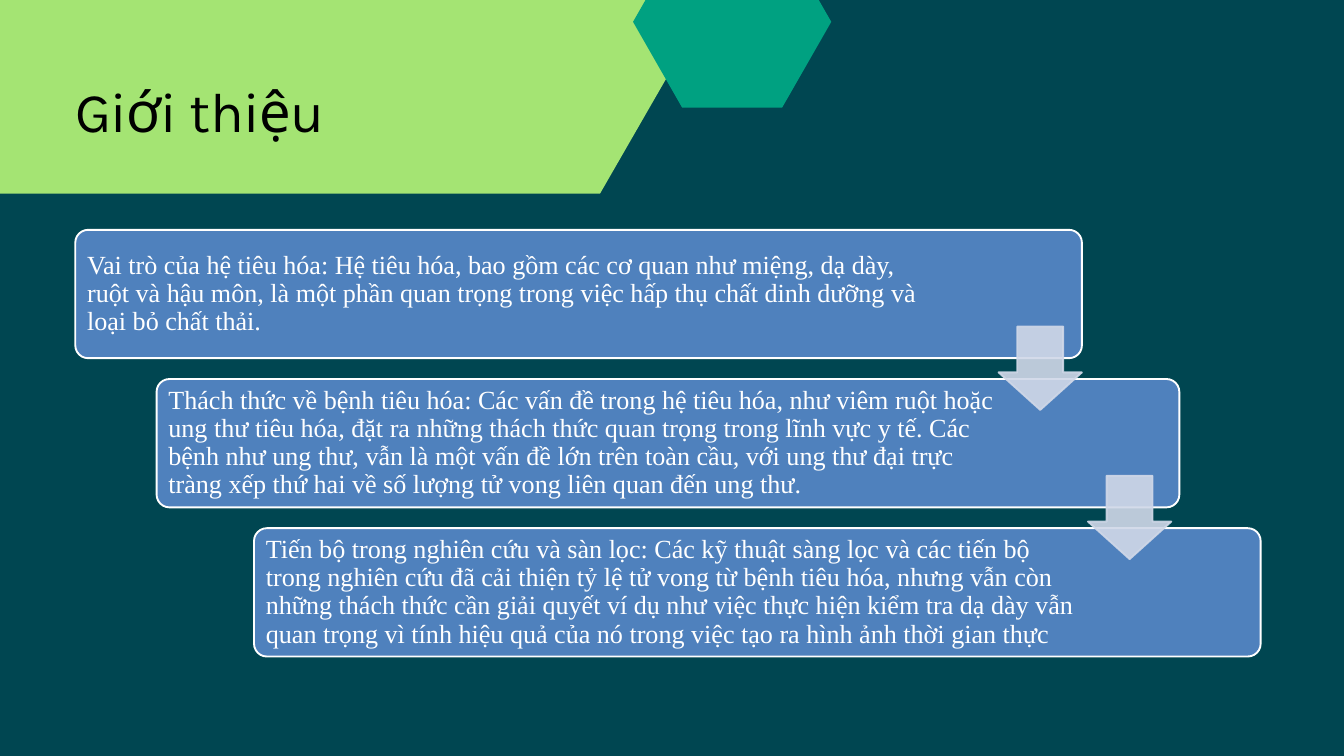
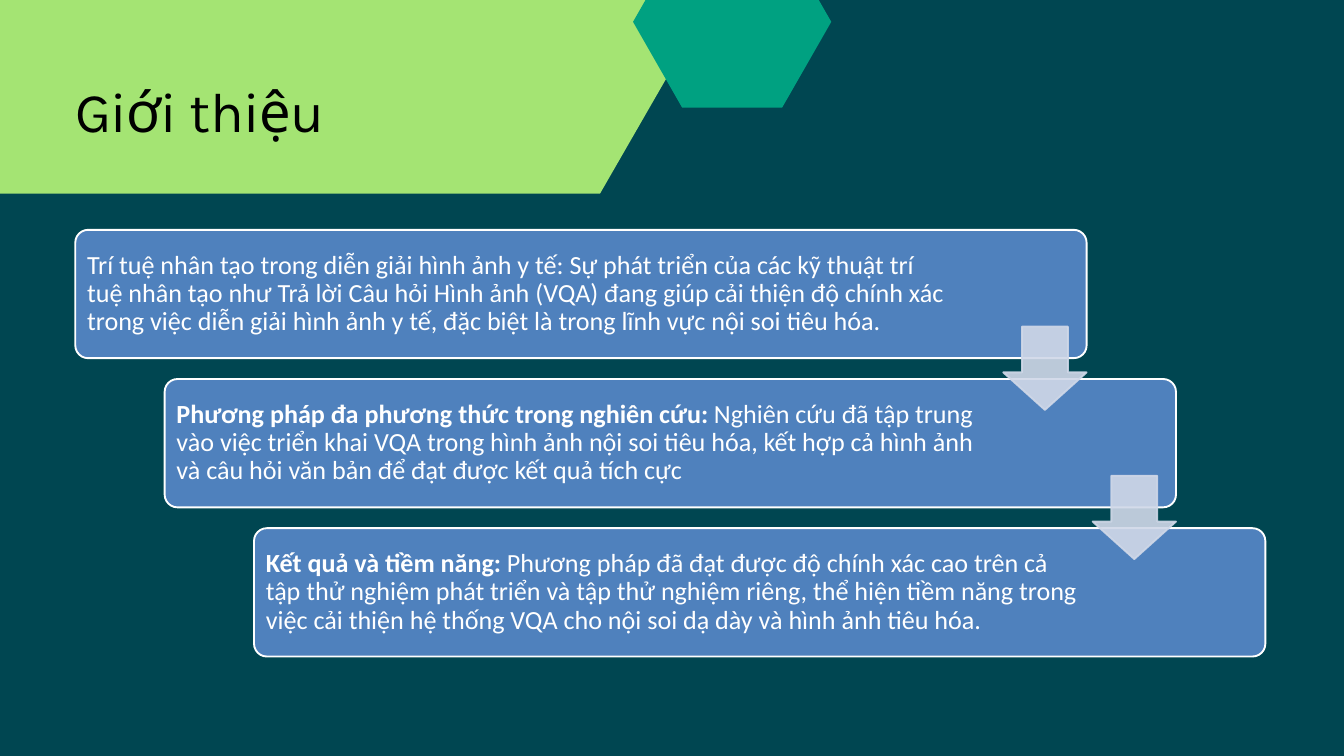
from lxml import etree
from pptx import Presentation
from pptx.dml.color import RGBColor
from pptx.enum.shapes import MSO_SHAPE
from pptx.enum.text import MSO_ANCHOR, MSO_AUTO_SIZE, PP_ALIGN
from pptx.oxml.ns import qn
from pptx.util import Inches, Pt

CARD_SHAPE, ARROW_SHAPE = MSO_SHAPE.ROUNDED_RECTANGLE, MSO_SHAPE.DOWN_ARROW
TOP, MIDDLE = MSO_ANCHOR.TOP, MSO_ANCHOR.MIDDLE
GROW, LEFT = MSO_AUTO_SIZE.SHAPE_TO_FIT_TEXT, PP_ALIGN.LEFT
TITLE_ONLY = 5

NAVY = RGBColor(0x00, 0x46, 0x51)
LIME = RGBColor(0xA4, 0xE4, 0x73)
TEAL = RGBColor(0x00, 0xA1, 0x81)
BLUE = RGBColor(0x4F, 0x81, 0xBD)
PALE = RGBColor(0xD0, 0xD8, 0xE8)
WHITE = RGBColor(0xFF, 0xFF, 0xFF)
BLACK = RGBColor(0x00, 0x00, 0x00)

SLIDE_WIDTH, SLIDE_HEIGHT = Inches(20), Inches(11.25)
COLUMN = SLIDE_WIDTH / 20

MARGIN = 1.12
FIRST_TOP, CARD_HEIGHT, ROW_STEP = 3.42, 1.91, 2.22
ARROW_TOP, ARROW_SIZE = 4.86, 1.24
FIRST_INSET, LATER_INSET = 2.06, 2.7

TITLE_FRAME = {
    "margin_left": 0, "margin_top": 0, "margin_right": 0, "margin_bottom": 0,
    "vertical_anchor": TOP, "word_wrap": True, "auto_size": GROW,
}
TITLE_PARAGRAPH = {"alignment": LEFT, "line_spacing": Pt(78)}
TITLE_FONT = {"name": "Karla", "size": Pt(60)}
CARD_FRAME = {
    "margin_left": Inches(0.12), "margin_top": Inches(0.12), "margin_bottom": Inches(0.12),
    "vertical_anchor": MIDDLE, "word_wrap": True,
}
CARD_PARAGRAPH = {"alignment": LEFT, "line_spacing": 0.9}

SLIDES = [
    {
        "title": "Giới thiệu",
        "font": "Times New Roman",
        "width": 14.98,
        "widening": 0.12,
        "cards": [
            ("", "Vai trò của hệ tiêu hóa: Hệ tiêu hóa, bao gồm các cơ quan như miệng, dạ dày, "
                 "ruột và hậu môn, là một phần quan trọng trong việc hấp thụ chất dinh dưỡng và "
                 "loại bỏ chất thải."),
            ("", "Thách thức về bệnh tiêu hóa: Các vấn đề trong hệ tiêu hóa, như viêm ruột hoặc "
                 "ung thư tiêu hóa, đặt ra những thách thức quan trọng trong lĩnh vực y tế. Các "
                 "bệnh như ung thư, vẫn là một vấn đề lớn trên toàn cầu, với ung thư đại trực "
                 "tràng xếp thứ hai về số lượng tử vong liên quan đến ung thư."),
            ("", "Tiến bộ trong nghiên cứu và sàn lọc: Các kỹ thuật sàng lọc và các tiến bộ trong "
                 "nghiên cứu đã cải thiện tỷ lệ tử vong từ bệnh tiêu hóa, nhưng vẫn còn những "
                 "thách thức cần giải quyết ví dụ như việc thực hiện kiểm tra dạ dày vẫn quan "
                 "trọng vì tính hiệu quả của nó trong việc tạo ra hình ảnh thời gian thực"),
        ],
    },
    {
        "title": "Giới thiệu",
        "font": "Calibri",
        "width": 15.05,
        "widening": 0,
        "cards": [
            ("", "Trí tuệ nhân tạo trong diễn giải hình ảnh y tế: Sự phát triển của các kỹ thuật "
                 "trí tuệ nhân tạo như Trả lời Câu hỏi Hình ảnh (VQA) đang giúp cải thiện độ "
                 "chính xác trong việc diễn giải hình ảnh y tế, đặc biệt là trong lĩnh vực nội "
                 "soi tiêu hóa."),
            ("Phương pháp đa phương thức trong nghiên cứu:",
             " Nghiên cứu đã tập trung vào việc triển khai VQA trong hình ảnh nội soi tiêu hóa, "
             "kết hợp cả hình ảnh và câu hỏi văn bản để đạt được kết quả tích cực"),
            ("Kết quả và tiềm năng:",
             " Phương pháp đã đạt được độ chính xác cao trên cả tập thử nghiệm phát triển và tập "
             "thử nghiệm riêng, thể hiện tiềm năng trong việc cải thiện hệ thống VQA cho nội soi "
             "dạ dày và hình ảnh tiêu hóa."),
        ],
    },
]


def grid(*columns):
    """Turn grid columns into slide lengths."""
    return [round(column * COLUMN) for column in columns]


def apply_format(target, values):
    """Set each named attribute of the target."""
    for name, value in values.items():
        setattr(target, name, value)


def paint(shape, fill, line=None):
    """Give a shape a flat fill and an optional two-point outline."""
    shape.shadow.inherit = False
    shape.fill.solid()
    shape.fill.fore_color.rgb = fill
    if line is None:
        shape.line.fill.background()
    else:
        shape.line.color.rgb = line
        shape.line.width = Pt(2)


def add_hexagon(slide, left, top, width, height, corner, color):
    """Draw a flat-topped hexagon whose side points reach out by corner."""
    right, bottom, middle = left + width, top + height, top + height / 2
    points = [
        grid(*point) for point in (
            (left + corner, top), (right - corner, top), (right, middle),
            (right - corner, bottom), (left + corner, bottom), (left, middle),
        )
    ]
    builder = slide.shapes.build_freeform(*points[0])
    builder.add_line_segments(points[1:], close=True)
    paint(builder.convert_to_shape(), color)


def add_title(slide, text):
    """Fill the title placeholder and bring it in front of the hexagons."""
    title = slide.shapes.title
    title.left, title.top, title.width, title.height = grid(MARGIN, 1.05, 7.25, 1.07)
    apply_format(title.text_frame, TITLE_FRAME)
    paragraph = title.text_frame.paragraphs[0]
    apply_format(paragraph, TITLE_PARAGRAPH)
    run = paragraph.add_run()
    run.text = text
    apply_format(run.font, TITLE_FONT)
    run.font.color.rgb = BLACK
    run._r.get_or_add_rPr().set("spc", "-60")
    slide.shapes._spTree.append(title._element)


def add_card(slide, left, top, width, right_inset, texts, font):
    """Draw a rounded card with an optional bold lead before its text."""
    card = slide.shapes.add_shape(CARD_SHAPE, *grid(left, top, width, CARD_HEIGHT))
    card.adjustments[0] = 0.1
    paint(card, BLUE, WHITE)
    apply_format(card.text_frame, CARD_FRAME)
    card.text_frame.margin_right = Inches(right_inset)
    paragraph = card.text_frame.paragraphs[0]
    apply_format(paragraph, CARD_PARAGRAPH)
    for text, bold in zip(texts, (True, False)):
        if text:
            run = paragraph.add_run()
            run.text = text
            apply_format(run.font, {"name": font, "size": Pt(28), "bold": bold})
            run.font.color.rgb = WHITE


def add_arrow(slide, left, top):
    """Draw a slightly see-through arrow from one card to the next."""
    arrow = slide.shapes.add_shape(ARROW_SHAPE, *grid(left, top, ARROW_SIZE, ARROW_SIZE))
    arrow.adjustments[0], arrow.adjustments[1] = 0.55, 0.45
    paint(arrow, PALE, PALE)
    for color in arrow._element.spPr.iter(qn("a:srgbClr")):
        etree.SubElement(color, qn("a:alpha")).set("val", "90000")


def add_staircase(slide, cards, font, width, widening):
    """Lay the cards out as descending steps joined by arrows."""
    column_step = 1.33
    last = len(cards) - 1
    for index, texts in enumerate(cards):
        left = MARGIN + index * column_step
        extra = widening if 0 < index < last else 0
        inset = LATER_INSET if index else FIRST_INSET
        add_card(slide, left - extra, FIRST_TOP + index * ROW_STEP,
                 width + 2 * extra, inset, texts, font)
    for index in range(last):
        right = MARGIN + index * column_step + width
        add_arrow(slide, right - ARROW_SIZE, ARROW_TOP + index * ROW_STEP)


def add_slide(presentation, content):
    """Build one slide: hexagons, title and staircase."""
    slide = presentation.slides.add_slide(presentation.slide_layouts[TITLE_ONLY])
    add_hexagon(slide, -3.11, -3.93, 14, 6.81, 1.96, LIME)
    add_hexagon(slide, 9.42, -0.95, 2.95, 2.55, 0.73, TEAL)
    add_title(slide, content["title"])
    add_staircase(slide, content["cards"], content["font"],
                  content["width"], content["widening"])


def main():
    """Create the presentation and save it."""
    presentation = Presentation()
    apply_format(presentation, {"slide_width": SLIDE_WIDTH, "slide_height": SLIDE_HEIGHT})
    background = presentation.slide_master.background.fill
    background.solid()
    background.fore_color.rgb = NAVY
    for content in SLIDES:
        add_slide(presentation, content)
    presentation.save("out.pptx")


if __name__ == "__main__":
    main()
